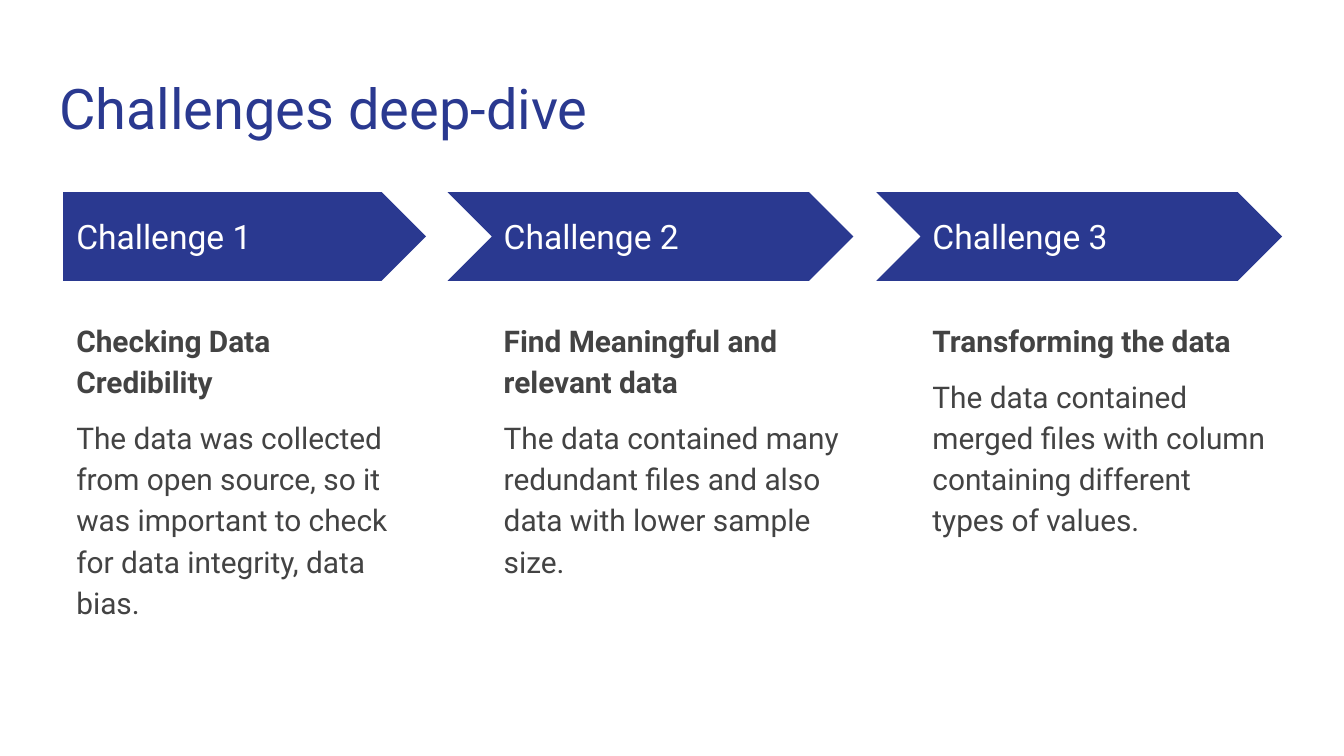
from dataclasses import dataclass

from pptx import Presentation
from pptx.dml.color import RGBColor
from pptx.enum.shapes import MSO_SHAPE
from pptx.enum.text import MSO_ANCHOR, PP_ALIGN
from pptx.util import Inches, Pt


@dataclass(frozen=True)
class Theme:
    font: str = "Roboto"
    navy: RGBColor = RGBColor(0x2A, 0x39, 0x90)
    white: RGBColor = RGBColor(0xFF, 0xFF, 0xFF)
    grey: RGBColor = RGBColor(0x43, 0x43, 0x43)
    title: int = 30
    label: int = 18
    body: int = 16


THEME = Theme()

CHALLENGES = [
    ("Challenge 1", "Checking Data Credibility",
     "The data was collected from open source, so it was important to check "
     "for data integrity, data bias."),
    ("Challenge 2", "Find Meaningful and relevant data",
     "The data contained many redundant files and also data with lower "
     "sample size."),
    ("Challenge 3", "Transforming the data",
     "The data contained merged files with column containing different "
     "types of values."),
]

SLIDE_W = 10
SLIDE_H = SLIDE_W * 9 / 16
COLUMN_LEFTS = (0.47, 3.65, 6.84)
TOP = 1.43
COLUMN_W, COLUMN_H = 2.7, 3.73
ARROW_H = 0.66
NOTCH = 0.32


def set_frame(tf, anchor=MSO_ANCHOR.TOP):
    tf.word_wrap = True
    tf.vertical_anchor = anchor
    tf.margin_left = tf.margin_right = Inches(0.1)
    tf.margin_top = tf.margin_bottom = Inches(0.1)


def add_run(p, text, size, color, bold=False):
    p.alignment = PP_ALIGN.LEFT
    r = p.add_run()
    r.text = text
    r.font.name = THEME.font
    r.font.size = Pt(size)
    r.font.bold = bold
    r.font.color.rgb = color


def add_text_box(s, x, y, w, h, anchor=MSO_ANCHOR.TOP):
    tf = s.shapes.add_textbox(Inches(x), Inches(y), Inches(w), Inches(h)).text_frame
    set_frame(tf, anchor)
    return tf


def add_title(s, text, x, y, w, h):
    sp = s.shapes.title
    sp.left, sp.top, sp.width, sp.height = map(Inches, (x, y, w, h))
    set_frame(sp.text_frame)
    add_run(sp.text_frame.paragraphs[0], text, THEME.title, THEME.navy)


def add_arrow(s, label, x, y, w, h, first):
    """Draw the labelled arrow; all but the first reach left by a notch."""
    kind = MSO_SHAPE.PENTAGON if first else MSO_SHAPE.CHEVRON
    overhang = 0 if first else NOTCH
    sp = s.shapes.add_shape(kind, Inches(x - overhang), Inches(y),
                            Inches(w + overhang), Inches(h))
    sp.adjustments[0] = 0.5
    sp.shadow.inherit = False
    sp.fill.solid()
    sp.fill.fore_color.rgb = THEME.navy
    sp.line.fill.background()

    tf = add_text_box(s, x, y + 0.16, w - 0.23, h - 0.32, MSO_ANCHOR.MIDDLE)
    add_run(tf.paragraphs[0], label, THEME.label, THEME.white)


def add_details(s, heading, text, x, y, w, h):
    tf = add_text_box(s, x, y, w, h)
    p = tf.paragraphs[0]
    p.line_spacing = 1.15
    add_run(p, heading, THEME.body, THEME.grey, bold=True)
    p = tf.add_paragraph()
    p.line_spacing = 1.15
    p.space_before = p.space_after = Pt(8)
    add_run(p, text, THEME.body, THEME.grey)


def add_challenge(s, challenge, x, y, w, h, first):
    label, heading, text = challenge
    body_offset = ARROW_H + 0.17
    add_arrow(s, label, x, y, w, ARROW_H, first)
    add_details(s, heading, text, x, y + body_offset, w, h - body_offset)


def main():
    prs = Presentation()
    prs.slide_width, prs.slide_height = Inches(SLIDE_W), Inches(SLIDE_H)
    s = prs.slides.add_slide(prs.slide_layouts[5])
    s.background.fill.solid()
    s.background.fill.fore_color.rgb = THEME.white
    add_title(s, "Challenges deep-dive", 0.34, 0.45, 9.32, 0.66)
    for i, (challenge, left) in enumerate(zip(CHALLENGES, COLUMN_LEFTS)):
        add_challenge(s, challenge, left, TOP, COLUMN_W, COLUMN_H, first=i == 0)
    prs.save("out.pptx")


if __name__ == "__main__":
    main()
